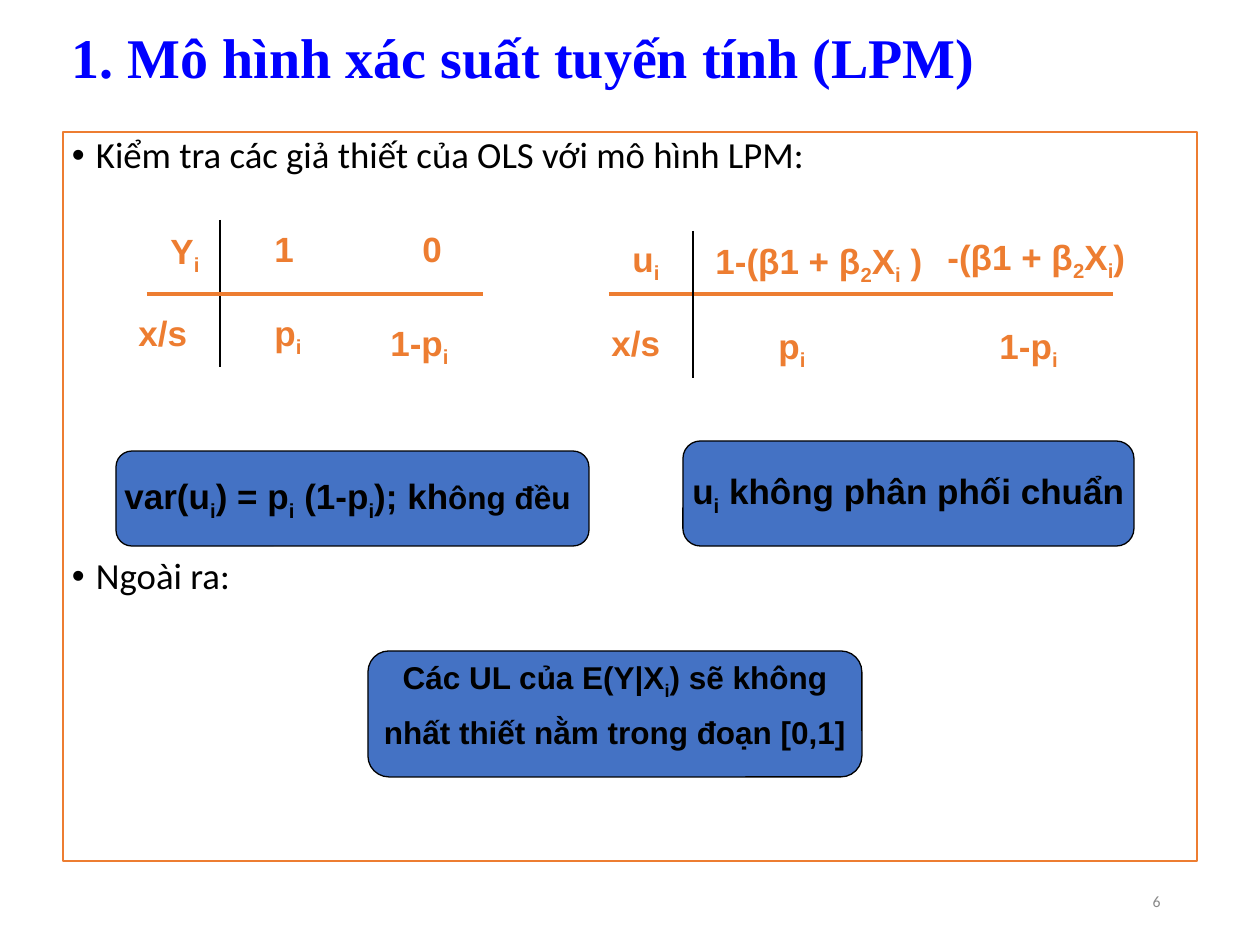
"""Build the slide on the OLS assumptions of the linear probability model."""
from lxml.etree import SubElement
from pptx import Presentation
from pptx.dml.color import RGBColor
from pptx.enum.shapes import MSO_CONNECTOR, MSO_SHAPE
from pptx.enum.text import MSO_ANCHOR as ANCHOR, PP_ALIGN as ALIGN
from pptx.oxml.ns import qn
from pptx.util import Emu, Pt

PX = 914400 / 126
COLORS = {"title": "0000FF", "accent": "ED7D31", "box": "4472C4",
          "ink": "000000", "number": "898989"}


def px(*lengths):
    return [Emu(round(n * PX)) for n in lengths]


def add_text(p, text, size, color, font="Arial", bold=True):
    """Add runs to a paragraph; the letter after each underscore is a subscript."""
    head, *tails = text.split("_")
    pieces = [(head, False)]
    for tail in tails:
        pieces += [(tail[0], True), (tail[1:], False)]
    for piece, lowered in pieces:
        if piece:
            r = p.add_run()
            r.text = piece
            r.font.size, r.font.name, r.font.bold = Pt(size), font, bold
            r.font.color.rgb = RGBColor.from_string(COLORS[color])
            if lowered:
                r.font._element.set("baseline", "-25000")


prs = Presentation()
prs.slide_width, prs.slide_height = px(1260, 945)
s = prs.slides.add_slide(prs.slide_layouts[1])

title, body = s.shapes.title, s.placeholders[1]
for sp, place, anchor in [(title, (63, 0, 1134, 120), ANCHOR.MIDDLE),
                          (body, (63, 132, 1134, 729), ANCHOR.TOP)]:
    sp.left, sp.top, sp.width, sp.height = px(*place)
    tf = sp.text_frame
    tf.vertical_anchor = anchor
    tf.margin_left, tf.margin_right, tf.margin_top, tf.margin_bottom = px(9, 9, 5, 5)

p = title.text_frame.paragraphs[0]
p.alignment, p.line_spacing = ALIGN.LEFT, 0.9
add_text(p, "1. Mô hình xác suất tuyến tính (LPM)", 32, "title", "Times New Roman")

body.line.color.rgb = RGBColor.from_string(COLORS["accent"])
body.line.width = Pt(1.5)
tf = body.text_frame
indent = px(24)[0]
for p, text, before in [
        (tf.paragraphs[0], "Kiểm tra các giả thiết của OLS với mô hình LPM:", 0),
        (tf.add_paragraph(), "Ngoài ra:", 218)]:
    p.line_spacing, p.space_before = 0.9, Pt(before)
    pPr = p._p.get_or_add_pPr()
    pPr.set("marL", str(indent))
    pPr.set("indent", str(-indent))
    add_text(p, text, 21, "ink", "Calibri", False)

for x1, y1, x2, y2, color, width in [
        (220, 220, 220, 367, "ink", 0.75),
        (147, 294, 483, 294, "accent", 2.25),
        (609, 294, 1113, 294, "accent", 2.25),
        (693, 231, 693, 378, "ink", 0.75)]:
    line = s.shapes.add_connector(MSO_CONNECTOR.STRAIGHT, *px(x1, y1, x2, y2))
    line.line.color.rgb = RGBColor.from_string(COLORS[color])
    line.line.width = Pt(width)
    SubElement(line._element.spPr, qn("a:effectLst"))

for text, x, y, w in [
        ("Y_i", 158, 223, 116), ("1", 262, 221, 105), ("0", 410, 221, 105),
        ("x/s", 126, 305, 95), ("p_i", 262, 305, 95), ("1-p_i", 378, 315, 136),
        ("u_i", 620, 231, 63), ("1-(β1 + β_2X_i )", 703, 233, 242),
        ("-(β1 + β_2X_i)", 935, 229, 231),
        ("x/s", 599, 315, 84), ("p_i", 766, 318, 158), ("1-p_i", 987, 318, 147)]:
    tf = s.shapes.add_textbox(*px(x, y, w, 60)).text_frame
    tf.word_wrap = True
    add_text(tf.paragraphs[0], text, 20, "accent")

for place, anchor, lines in [
        ((116, 451, 473, 95), ANCHOR.MIDDLE,
         [[("var(u_i) = p_i (1-p_i); kh", 20), ("ông đều", 18), (" ", 20)]]),
        ((683, 441, 451, 105), ANCHOR.MIDDLE, [[("u_i không phân phối chuẩn", 20)]]),
        ((368, 651, 494, 126), ANCHOR.TOP,
         [[("Các UL của E(Y|X_i) sẽ không", 18)],
          [("nhất thiết nằm trong đoạn [0,1]", 18)]])]:
    sp = s.shapes.add_shape(MSO_SHAPE.ROUNDED_RECTANGLE, *px(*place))
    sp.shadow.inherit = False
    sp.fill.solid()
    sp.fill.fore_color.rgb = RGBColor.from_string(COLORS["box"])
    sp.line.color.rgb = RGBColor.from_string(COLORS["ink"])
    sp.line.width = Pt(0.75)
    tf = sp.text_frame
    tf.word_wrap, tf.vertical_anchor = False, anchor
    tf.margin_top, tf.margin_bottom = px(1, 1)
    for i, parts in enumerate(lines):
        p = tf.add_paragraph() if i else tf.paragraphs[0]
        p.alignment = ALIGN.CENTER
        if i:
            p.space_before = Pt(7)
        for text, size in parts:
            add_text(p, text, size, "ink")

tf = s.shapes.add_textbox(*px(890, 876, 283, 50)).text_frame
tf.word_wrap, tf.vertical_anchor = True, ANCHOR.MIDDLE
p = tf.paragraphs[0]
p.alignment = ALIGN.RIGHT
add_text(p, "6", 9, "number", "Calibri", False)

prs.save("out.pptx")
